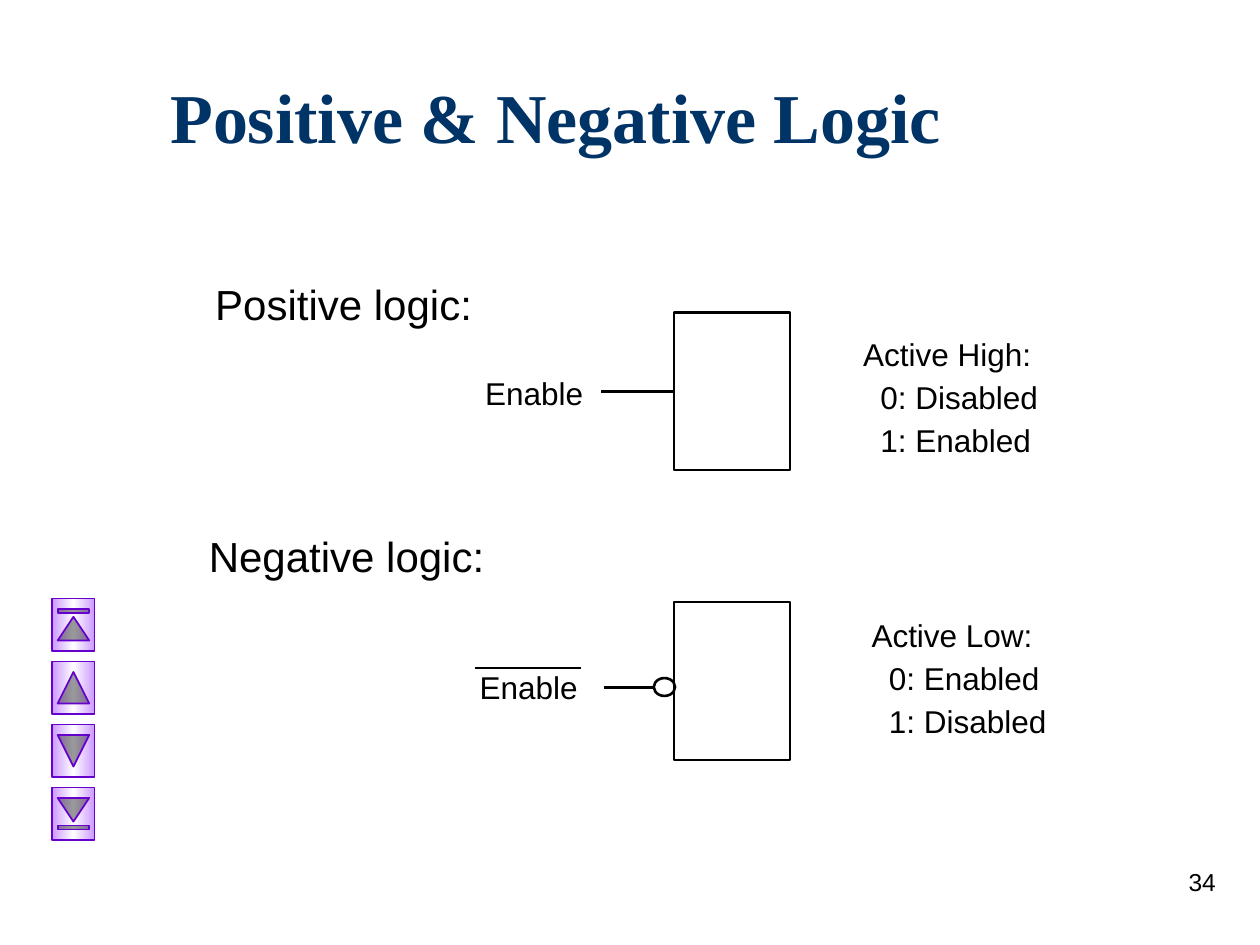
import copy

import pptx
import pptx.dml.color
import pptx.enum.shapes
import pptx.enum.text
import pptx.oxml
import pptx.util
from pptx.util import Cm

COLORS = {
    "title": "003366",
    "ink": "000000",
    "button": "CC99FF",
    "button_middle": "FFFFFF",
    "button_line": "6600CC",
}
SHAPES = pptx.enum.shapes.MSO_SHAPE
ALIGN = pptx.enum.text.PP_ALIGN
ANCHOR = pptx.enum.text.MSO_ANCHOR


def rgb(name):
    return pptx.dml.color.RGBColor.from_string(COLORS[name])


class SlideBuilder:
    """Holds the style and the slide being filled."""

    body_font = "Arial"
    title_font = "Times New Roman"
    line_width = 1.5

    def __init__(self, slide):
        self.slide = slide

    def format_text(self, text_frame, size, font, color, bold, align):
        for paragraph in text_frame.paragraphs:
            paragraph.alignment = align
            for run in paragraph.runs:
                run.font.name = font
                run.font.size = pptx.util.Pt(size)
                run.font.bold = bold
                run.font.color.rgb = rgb(color)

    def title(self, text, left, top, width, height):
        shape = self.slide.shapes.title
        shape.left, shape.top = Cm(left), Cm(top)
        shape.width, shape.height = Cm(width), Cm(height)
        shape.text_frame.text = text
        shape.text_frame.vertical_anchor = ANCHOR.MIDDLE
        self.format_text(shape.text_frame, 40, self.title_font, "title", True, ALIGN.LEFT)

    def text(self, text, left, top, width, height, size=18, align=ALIGN.LEFT):
        shape = self.slide.shapes.add_textbox(Cm(left), Cm(top), Cm(width), Cm(height))
        shape.text_frame.word_wrap = True
        shape.text_frame.text = text
        self.format_text(shape.text_frame, size, self.body_font, "ink", False, align)
        return shape

    def states(self, heading, values, left, top):
        """A heading with indented signal values below it."""
        shape = self.text("\n".join([heading, *values]), left, top, 5.08, 2.69)
        for paragraph in shape.text_frame.paragraphs[1:]:
            paragraph.space_before = pptx.util.Pt(3)
            paragraph._p.get_or_add_pPr().set("marL", str(Cm(0.35)))

    def outline(self, kind, left, top, width, height):
        shape = self.slide.shapes.add_shape(kind, Cm(left), Cm(top), Cm(width), Cm(height))
        shape.shadow.inherit = False
        shape.fill.background()
        shape.line.color.rgb = rgb("ink")
        shape.line.width = pptx.util.Pt(self.line_width)
        return shape

    def line(self, left, right, y, width=line_width):
        connector = self.slide.shapes.add_connector(
            pptx.enum.shapes.MSO_CONNECTOR.STRAIGHT, Cm(left), Cm(y), Cm(right), Cm(y))
        connector.line.color.rgb = rgb("ink")
        connector.line.width = pptx.util.Pt(width)
        properties = connector._element.spPr
        properties.append(properties.makeelement(pptx.oxml.ns.qn("a:effectLst"), {}))
        return connector

    def button(self, kind, left, top, width, height):
        """A navigation button turned so that its arrow points up or down."""
        shape = self.slide.shapes.add_shape(kind, Cm(left), Cm(top), Cm(width), Cm(height))
        shape.rotation = 90
        shape.shadow.inherit = False
        shape.line.color.rgb = rgb("button_line")
        shape.line.width = pptx.util.Pt(1)
        shape.fill.gradient()
        shape.fill.gradient_angle = 90
        stop_list = shape.fill.gradient_stops[0]._gs.getparent()
        stop_list.append(copy.deepcopy(stop_list[0]))
        stop_colors = ("button", "button_middle", "button")
        for stop, position, color in zip(shape.fill.gradient_stops, (0, 0.5, 1), stop_colors):
            stop.position = position
            stop.color.rgb = rgb(color)


def main():
    presentation = pptx.Presentation()
    presentation.slide_width, presentation.slide_height = Cm(25.4), Cm(19.05)
    builder = SlideBuilder(presentation.slides.add_slide(presentation.slide_layouts[5]))

    # Title and section labels
    builder.title("Positive & Negative Logic", 3.18, 1.27, 21.59, 2.11)
    builder.text("Positive logic:", 4.09, 5.49, 6.91, 1.42, size=24)
    builder.text("Negative logic:", 3.96, 10.57, 7.47, 1.42, size=24)

    # Active-high block
    block_left, block_width, block_height = 13.59, 2.34, 3.18
    block_top = 6.3
    block = builder.outline(SHAPES.RECTANGLE, block_left, block_top, block_width, block_height)
    wire = builder.line(12.12, block_left, block_top + block_height / 2)
    wire.end_connect(block, 1)
    builder.text("Enable", 9.53, 7.42, 2.74, 1.02)
    builder.states("Active High:", ["0: Disabled", "1: Enabled"], 17.15, 6.63)

    # Active-low block with inversion bubble and overbar
    builder.outline(SHAPES.RECTANGLE, block_left, 12.14, block_width, block_height)
    builder.line(12.17, 13.18, 13.86)
    builder.outline(SHAPES.OVAL, 13.18, 13.67, 0.43, 0.36)
    builder.text("Enable", 9.42, 13.34, 2.74, 1.02)
    builder.line(9.58, 11.71, 13.46, width=1)
    builder.states("Active Low:", ["0: Enabled", "1: Disabled"], 17.32, 12.29)

    # Navigation buttons
    buttons = [
        SHAPES.ACTION_BUTTON_BEGINNING,
        SHAPES.ACTION_BUTTON_BACK_OR_PREVIOUS,
        SHAPES.ACTION_BUTTON_FORWARD_OR_NEXT,
        SHAPES.ACTION_BUTTON_END,
    ]
    for row, kind in enumerate(buttons):
        builder.button(kind, 0.95, 12.17 + 1.27 * row, 1.06, 0.85)

    # Slide number
    builder.text("34", 19.48, 17.35, 5.28, 1.27, size=14, align=ALIGN.RIGHT)

    presentation.save("out.pptx")


if __name__ == "__main__":
    main()
